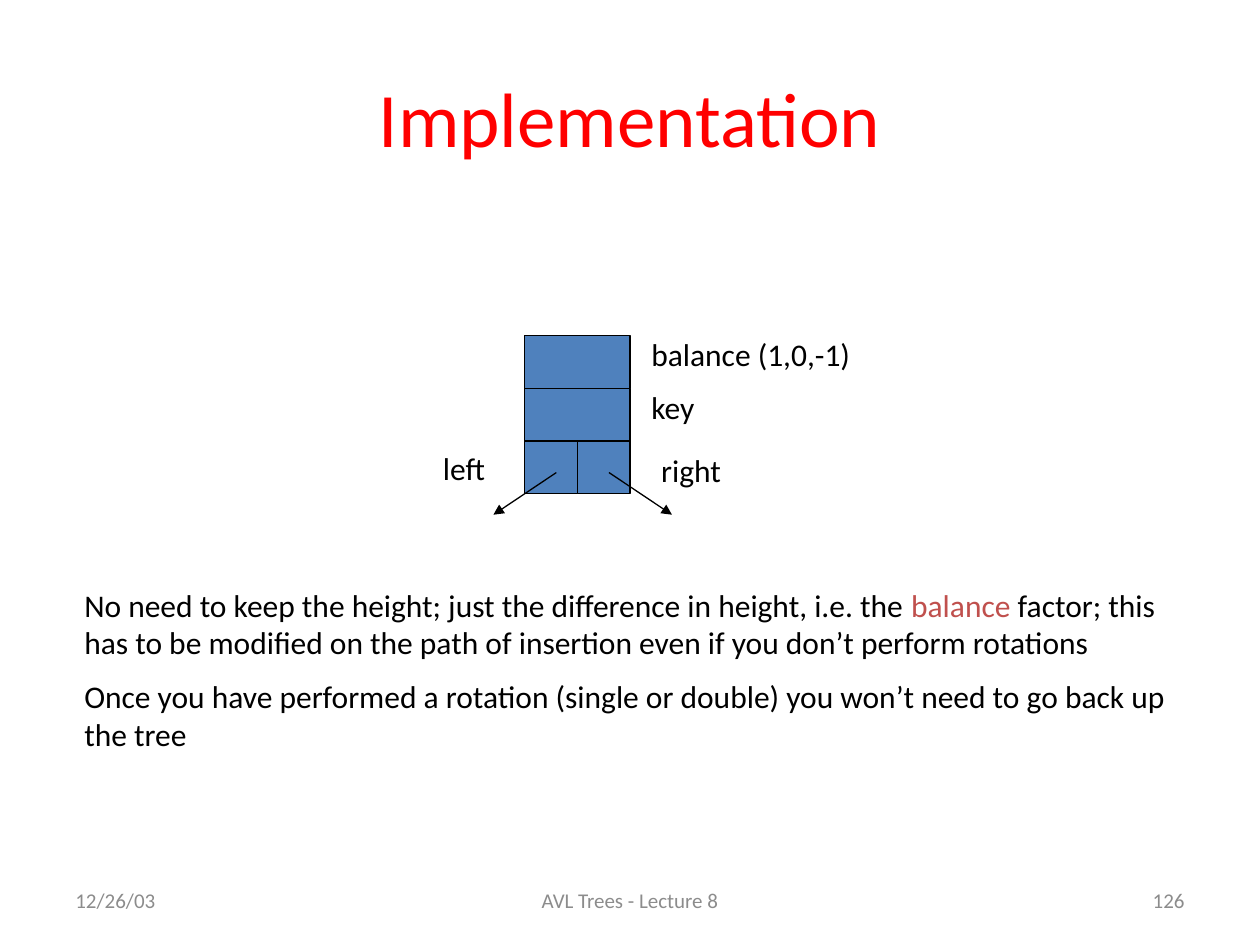
from dataclasses import dataclass

from lxml import etree
from pptx import Presentation
from pptx import util as u
from pptx.dml.color import RGBColor
from pptx.enum import shapes, text
from pptx.oxml.ns import qn

FONT = "Calibri"
BLACK, GREY, RED, ACCENT, BLUE = "000000", "8C8C8C", "FF0000", "C0504D", "4F81BD"
LEFT, CENTER, RIGHT = text.PP_ALIGN.LEFT, text.PP_ALIGN.CENTER, text.PP_ALIGN.RIGHT
MIDDLE, TOP = text.MSO_ANCHOR.MIDDLE, text.MSO_ANCHOR.TOP

# Node grid, in centimetres
CELL = 1.06
NODE_LEFT, NODE_TOP = 10.58, 6.77
POINTER_TOP = NODE_TOP + 2 * CELL


@dataclass
class Box:
    left: float
    top: float
    width: float
    height: float

    def lengths(self) -> list[u.Length]:
        return [u.Cm(value) for value in (self.left, self.top, self.width, self.height)]


@dataclass
class Label:
    content: str
    box: Box


@dataclass
class Footer:
    content: str
    box: Box
    align: text.PP_ALIGN


def color(value: str) -> RGBColor:
    return RGBColor.from_string(value)


def add_text(slide, box: Box, paragraphs, *, size=18, fill=BLACK, align=LEFT,
             anchor=MIDDLE, gap=0):
    """Each paragraph is a list of (text, colour) runs, or one plain string."""
    shape = slide.shapes.add_textbox(*box.lengths())
    frame = shape.text_frame
    frame.word_wrap = True
    frame.vertical_anchor = anchor
    for index, runs in enumerate(paragraphs):
        paragraph = frame.add_paragraph() if index else frame.paragraphs[0]
        paragraph.alignment = align
        if index:
            paragraph.space_before = u.Pt(gap)
        for content, run_fill in [(runs, fill)] if isinstance(runs, str) else runs:
            run = paragraph.add_run()
            run.text = content
            run.font.name = FONT
            run.font.size = u.Pt(size)
            run.font.color.rgb = color(run_fill)
    return shape


def add_cell(slide, box: Box) -> None:
    shape = slide.shapes.add_shape(shapes.MSO_SHAPE.RECTANGLE, *box.lengths())
    shape.shadow.inherit = False
    shape.fill.solid()
    shape.fill.fore_color.rgb = color(BLUE)
    shape.line.color.rgb = color(BLACK)
    shape.line.width = u.Pt(0.75)


def add_arrow(slide, x: float, y: float, dx: float, dy: float) -> None:
    arrow = slide.shapes.add_connector(
        shapes.MSO_CONNECTOR.STRAIGHT, u.Cm(x), u.Cm(y), u.Cm(x + dx), u.Cm(y + dy))
    arrow.line.color.rgb = color(BLACK)
    arrow.line.width = u.Pt(0.75)
    etree.SubElement(arrow.line._get_or_add_ln(), qn("a:tailEnd"), type="triangle")
    etree.SubElement(arrow._element.spPr, qn("a:effectLst"))


FOOTERS = [
    Footer("12/26/03", Box(1.27, 17.65, 5.93, 1.01), LEFT),
    Footer("AVL Trees - Lecture 8", Box(8.68, 17.65, 8.04, 1.01), CENTER),
    Footer("126", Box(18.2, 17.65, 5.93, 1.01), RIGHT),
]
LABELS = [
    Label("balance (1,0,-1)", Box(12.88, 6.6, 5.44, 1.09)),
    Label("key", Box(12.88, 7.65, 1.6, 1.09)),
    Label("right", Box(13.08, 8.92, 1.88, 1.09)),
    Label("left", Box(8.68, 8.89, 1.45, 1.09)),
]
NOTES = [
    [
        ("No need to keep the height; just the difference in height, i.e. the ", BLACK),
        ("balance", ACCENT),
        (" factor; this has to be modified on the path of insertion even if "
         "you don’t perform rotations", BLACK),
    ],
    "Once you have performed a rotation (single or double) you won’t need to "
    "go back up the tree",
]


def main() -> None:
    presentation = Presentation()
    presentation.slide_width, presentation.slide_height = u.Cm(25.4), u.Cm(19.05)
    slide = presentation.slides.add_slide(presentation.slide_layouts[6])

    # Footer and title
    for footer in FOOTERS:
        add_text(slide, footer.box, [footer.content], size=12, fill=GREY,
                 align=footer.align)
    add_text(slide, Box(1.27, 0.76, 22.86, 3.18), ["Implementation"], size=44,
             fill=RED, align=CENTER)

    # Node: two child pointers below the key and balance fields
    pointer_lefts = [NODE_LEFT, NODE_LEFT + CELL]
    for left in pointer_lefts:
        add_cell(slide, Box(left, POINTER_TOP, CELL, CELL))
    for row in (1, 0):
        add_cell(slide, Box(NODE_LEFT, NODE_TOP + row * CELL, 2 * CELL, CELL))
    for left, dx in zip(pointer_lefts, (-1.27, 1.27)):
        add_arrow(slide, left + 0.6 * CELL, POINTER_TOP + 0.6 * CELL, dx, 0.85)

    # Field labels and notes
    for label in LABELS:
        add_text(slide, label.box, [label.content])
    add_text(slide, Box(1.45, 11.68, 22.48, 3.71), NOTES, anchor=TOP, gap=9)

    presentation.save("out.pptx")


if __name__ == "__main__":
    main()
